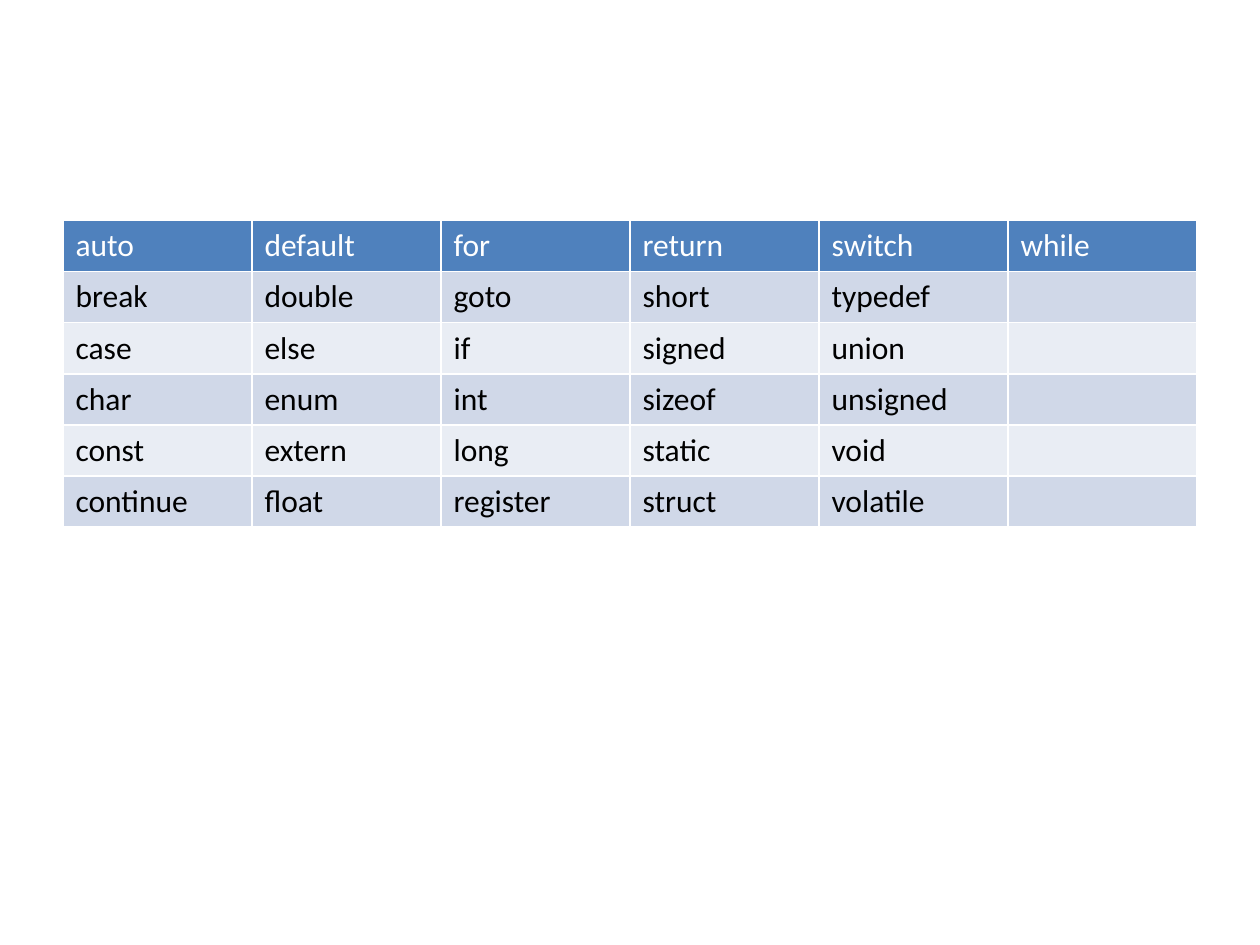
from dataclasses import dataclass

from lxml.etree import SubElement
from pptx import Presentation
from pptx.dml.color import RGBColor as RGB
from pptx.oxml.ns import qn
from pptx.util import Inches, Pt


@dataclass(frozen=True)
class Theme:
    """Colours, font and sizes of the slide."""
    font: str = "Calibri"
    size: int = 18
    header: str = "4F81BD"
    bands: tuple = ("D0D8E8", "E9EDF4")
    light: str = "FFFFFF"
    dark: str = "000000"
    border: int = 1


KEYWORDS = [
    ["auto", "default", "for", "return", "switch", "while"],
    ["break", "double", "goto", "short", "typedef", ""],
    ["case", "else", "if", "signed", "union", ""],
    ["char", "enum", "int", "sizeof", "unsigned", ""],
    ["const", "extern", "long", "static", "void", ""],
    ["continue", "float", "register", "struct", "volatile", ""],
]


def add_text(tf, text, *, font, size, color):
    """Write one formatted run into the first paragraph."""
    p = tf.paragraphs[0]
    p.font.size = Pt(size)
    if text:
        r = p.add_run()
        r.text = text
        r.font.name, r.font.size = font, Pt(size)
        r.font.bold = False
        r.font.color.rgb = RGB.from_string(color)


def add_borders(cell, color, width):
    """Draw a solid line on all four sides of a cell."""
    tcPr = cell._tc.get_or_add_tcPr()
    for side in "LRTB":
        ln = SubElement(tcPr, qn(f"a:ln{side}"), w=str(Pt(width)))
        fill = SubElement(ln, qn("a:solidFill"))
        SubElement(fill, qn("a:srgbClr"), val=color)


class Deck:
    """Holds the theme and the current slide."""

    def __init__(self, theme):
        """Start a 4:3 deck with one blank slide."""
        self.theme = theme
        self.prs = Presentation()
        self.prs.slide_width, self.prs.slide_height = Inches(10), Inches(7.5)
        self.s = self.prs.slides.add_slide(self.prs.slide_layouts[6])

    def table(self, rows, left, top, col_width, row_height):
        """Add a table with a header row and banded body rows."""
        th, n_rows, n_cols = self.theme, len(rows), len(rows[0])
        table = self.s.shapes.add_table(
            n_rows, n_cols, Inches(left), Inches(top),
            Inches(col_width * n_cols), Inches(row_height * n_rows)).table
        for i, row in enumerate(rows):
            fill = th.bands[(i - 1) % 2] if i else th.header
            color = th.dark if i else th.light
            for j, text in enumerate(row):
                cell = table.cell(i, j)
                add_borders(cell, th.light, th.border)
                cell.fill.solid()
                cell.fill.fore_color.rgb = RGB.from_string(fill)
                add_text(cell.text_frame, text,
                         font=th.font, size=th.size, color=color)


def main():
    """Build and save the keyword slide."""
    deck = Deck(Theme())
    deck.table(KEYWORDS, left=0.5, top=1.75, col_width=1.5, row_height=0.4)
    deck.prs.save("out.pptx")


main()
